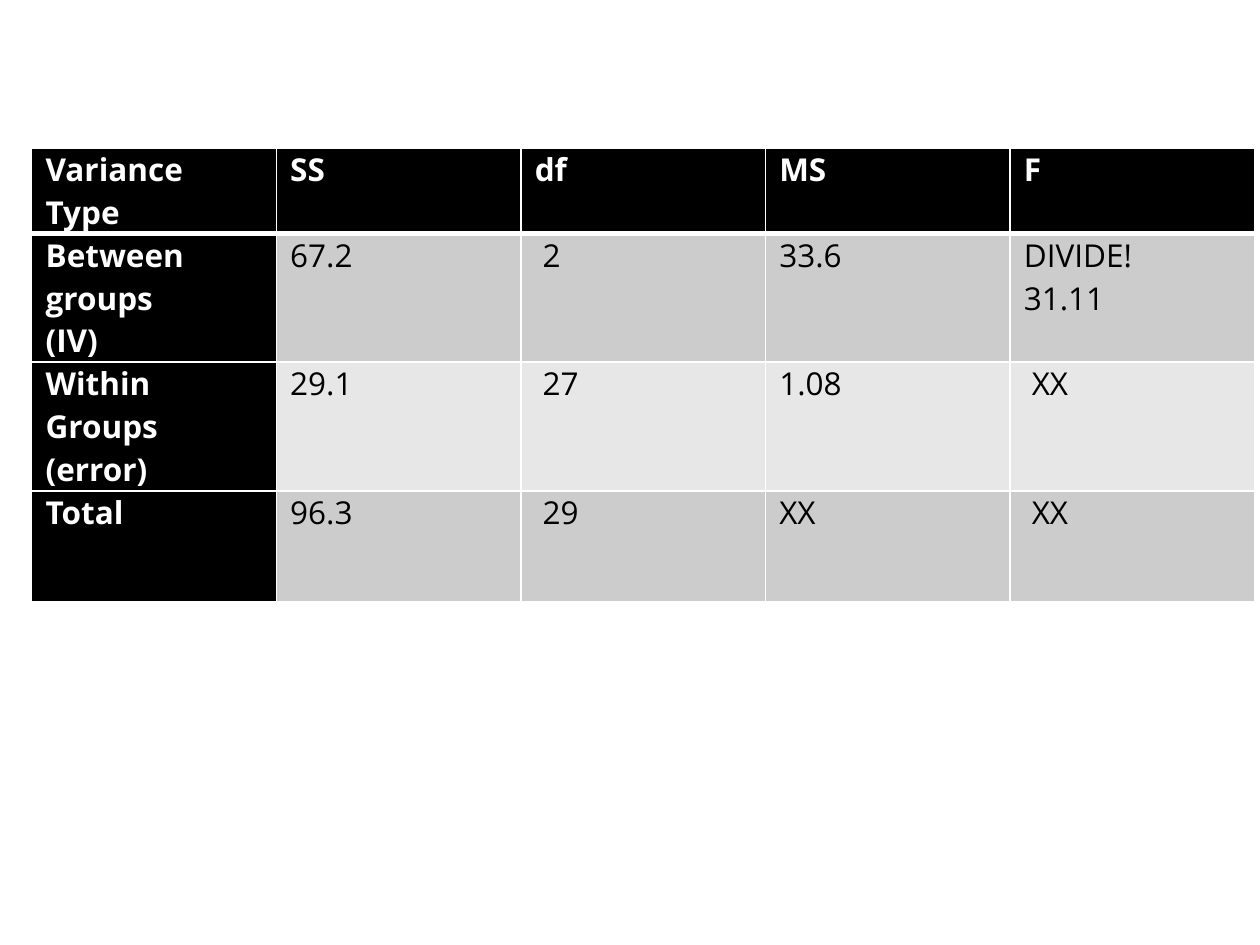
from lxml.etree import SubElement
from pptx import Presentation
from pptx.dml.color import RGBColor
from pptx.oxml.ns import qn
from pptx.util import Cm, Pt

COLORS = {
    "white": "FFFFFF",
    "black": "000000",
    "dark band": "CCCCCC",
    "light band": "E7E7E7",
}
ROWS = [
    ["Variance Type", "SS", "df", "MS", "F"],
    ["Between groups\n(IV)", "67.2", "2", "33.6", "DIVIDE!\n31.11"],
    ["Within Groups\n(error)", "29.1", "27", "1.08", "XX"],
    ["Total", "96.3", "29", "XX", "XX"],
]
INDENTED_CELLS = {(1, 2), (2, 2), (3, 2), (2, 4), (3, 4)}
CELL_FORMAT = {"margin_right": Cm(0.28), "margin_top": 0, "margin_bottom": 0}
FONT_FORMAT = {"name": "Open Sans", "size": Pt(18)}


def add_border(cell, side, width):
    line = SubElement(cell._tc.get_or_add_tcPr(), qn(f"a:ln{side}"), w=str(Pt(width)))
    fill = SubElement(line, qn("a:solidFill"))
    SubElement(fill, qn("a:srgbClr"), val=COLORS["white"])


presentation = Presentation()
presentation.slide_width = Cm(25.4)
presentation.slide_height = Cm(19.05)
slide = presentation.slides.add_slide(presentation.slide_layouts[6])

# Variance table
shape = slide.shapes.add_table(
    len(ROWS), len(ROWS[0]), Cm(0.64), Cm(2.98), Cm(24.64), Cm(7.49)
)
table = shape.table
table.first_row = False
table.horz_banding = False
for column in table.columns:
    column.width = Cm(4.93)
for row, height in zip(table.rows, (0.74, 2.24, 2.24, 2.24)):
    row.height = Cm(height)

# Cells: black headings, grey bands, heavier rule under the header row
for row_index, texts in enumerate(ROWS):
    for column_index, text in enumerate(texts):
        cell = table.cell(row_index, column_index)
        is_heading = row_index == 0 or column_index == 0
        band = "dark band" if row_index % 2 else "light band"

        cell.text = text
        for name, value in CELL_FORMAT.items():
            setattr(cell, name, value)
        is_indented = (row_index, column_index) in INDENTED_CELLS
        cell.margin_left = Cm(0.44 if is_indented else 0.28)

        add_border(cell, "L", 1)
        add_border(cell, "R", 1)
        add_border(cell, "T", 3 if row_index == 1 else 1)
        add_border(cell, "B", 3 if row_index == 0 else 1)
        cell.fill.solid()
        cell.fill.fore_color.rgb = RGBColor.from_string(
            COLORS["black" if is_heading else band]
        )

        for paragraph in cell.text_frame.paragraphs:
            for run in paragraph.runs:
                for name, value in FONT_FORMAT.items():
                    setattr(run.font, name, value)
                run.font.bold = is_heading
                run.font.color.rgb = RGBColor.from_string(
                    COLORS["white" if is_heading else "black"]
                )

presentation.save("out.pptx")
